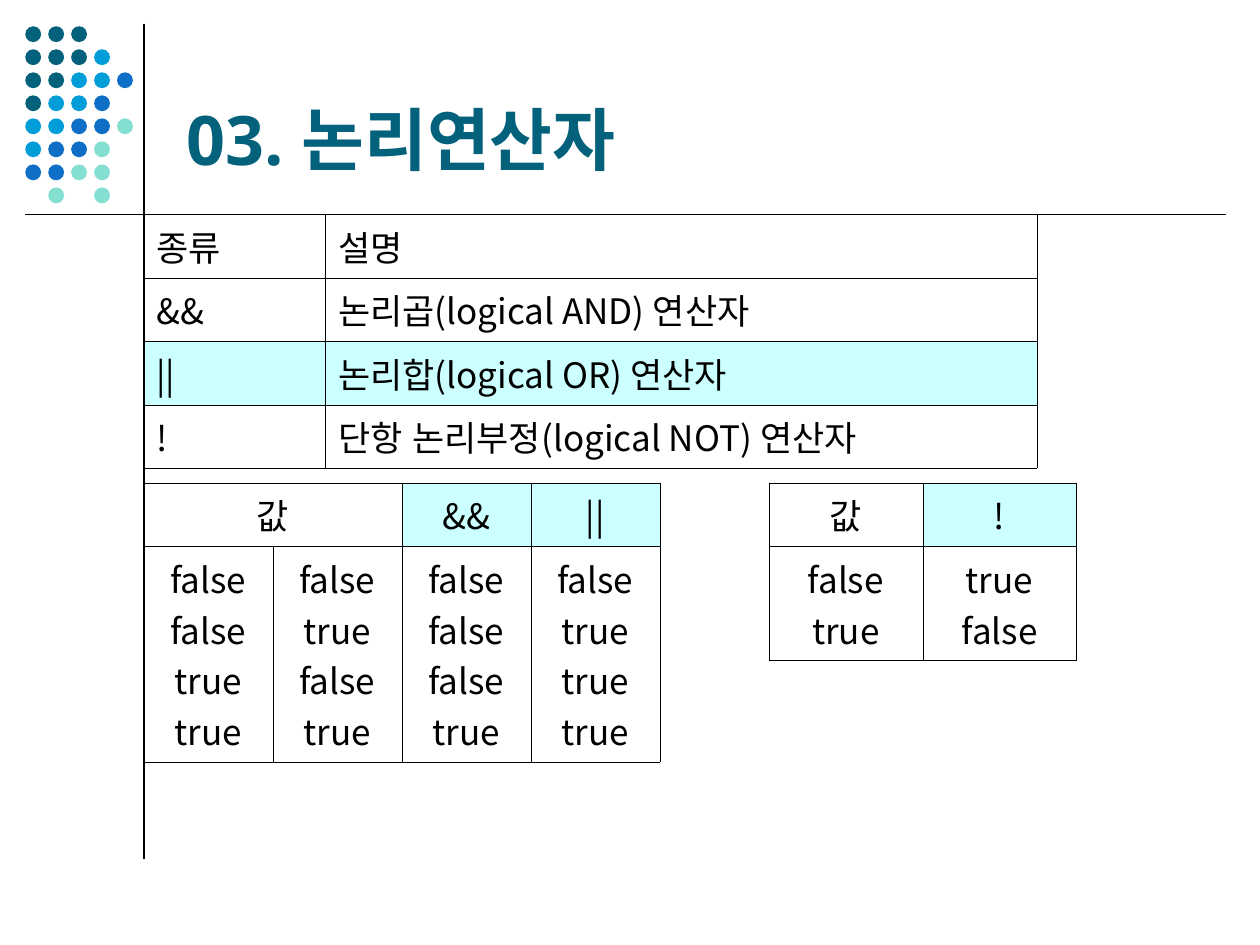
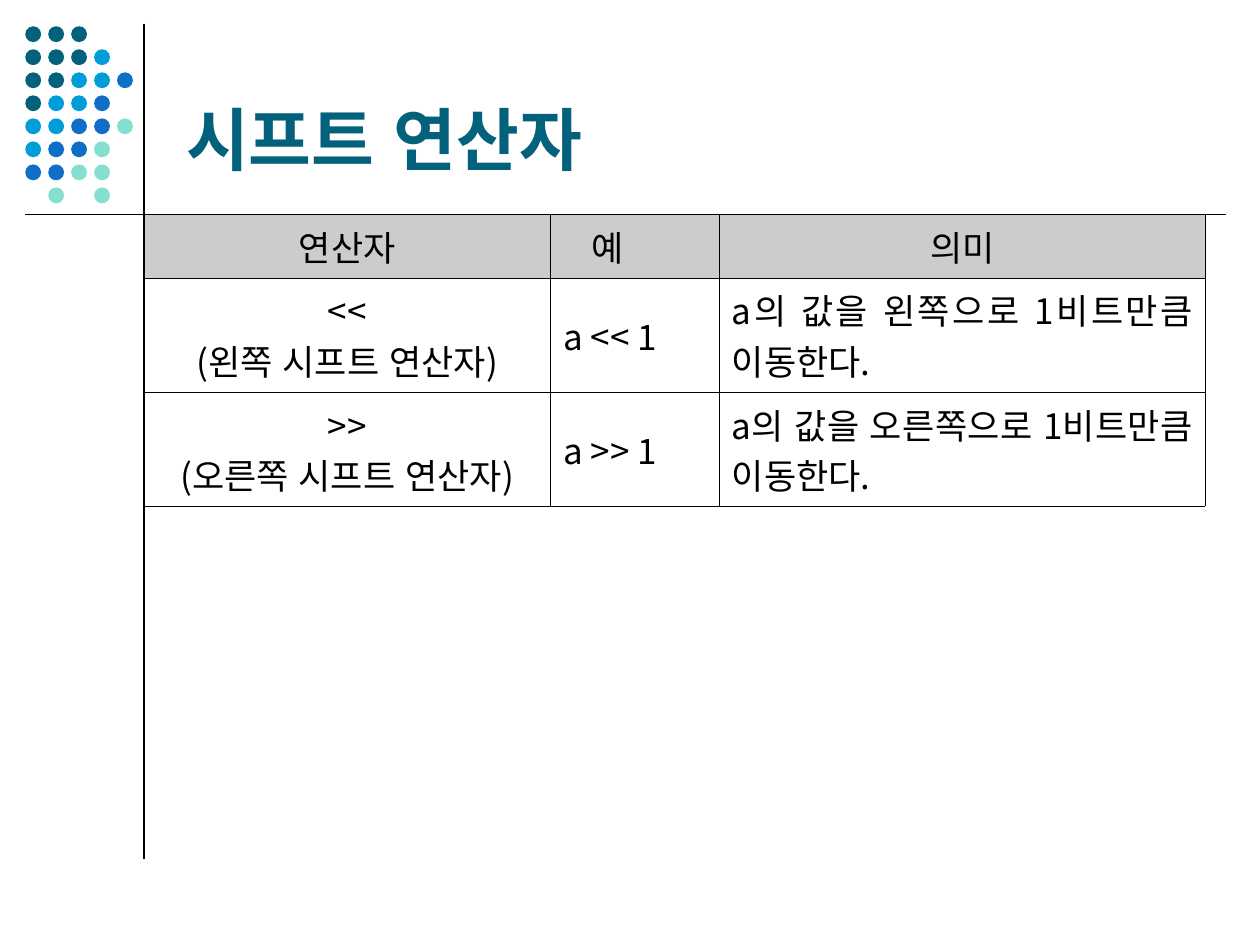
from lxml import etree
from pptx import Presentation
from pptx.dml.color import RGBColor
from pptx.enum import lang, shapes, text
from pptx.oxml import ns
from pptx.util import Cm, Emu, Pt

COLORS = {
    "ink": "000000", "title": "04617B", "sky": "009DD9", "blue": "0F6FC6",
    "mint": "85DFD0", "accent": "CCFFFF", "header": "CCCCCC",
}
DOT_COLORS = {"t": "title", "s": "sky", "b": "blue", "m": "mint"}
DOT_ROWS = ["ttt", "ttts", "ttssb", "tssb", "ssbbm", "sbbm", "bbmm", " m m"]
TITLE_FONT, BODY_FONT = "Noto Sans", "Noto Sans CJK KR"
LEFT, CENTER, JUSTIFY = (
    text.PP_ALIGN.LEFT, text.PP_ALIGN.CENTER, text.PP_ALIGN.JUSTIFY)
AXIS_X, AXIS_Y = 2.9, 4.32
HEAD_H, TWO_LINES, FOUR_LINES = 1.28, 2.3, 4.35


def rgb(name):
    """Return the named colour."""
    return RGBColor.from_string(COLORS[name])


def style_paragraph(p, font, size, color, bold=False, align=LEFT):
    """Align a paragraph and format its runs for Latin and Korean."""
    p.alignment = align
    for r in p.runs:
        f = r.font
        f.name, f.size, f.bold = font, Pt(size), bold
        f.color.rgb = rgb(color)
        f.language_id = lang.MSO_LANGUAGE_ID.KOREAN
        ea = etree.SubElement(r._r.get_or_add_rPr(), ns.qn("a:ea"))
        ea.set("typeface", BODY_FONT)


def add_line(slide, x1, y1, x2, y2):
    """Draw a thin line without a shadow."""
    line = slide.shapes.add_connector(
        shapes.MSO_CONNECTOR.STRAIGHT, Cm(x1), Cm(y1), Cm(x2), Cm(y2))
    line.line.color.rgb = rgb("ink")
    line.line.width = Pt(0.75)
    etree.SubElement(line._element.spPr, ns.qn("a:effectLst"))


def add_dots(slide, box):
    """Fill the box with the stepped dot pattern."""
    x, y, w, h = box
    size = 0.32
    step_x = (w - size) / (max(map(len, DOT_ROWS)) - 1)
    step_y = (h - size) / (len(DOT_ROWS) - 1)
    for i, row in enumerate(DOT_ROWS):
        for j, code in enumerate(row):
            if code == " ":
                continue
            sp = slide.shapes.add_shape(
                shapes.MSO_SHAPE.OVAL, Cm(x + j * step_x),
                Cm(y + i * step_y), Cm(size), Cm(size))
            sp.shadow.inherit = False
            sp.fill.solid()
            sp.fill.fore_color.rgb = rgb(DOT_COLORS[code])
            sp.line.fill.background()


def add_title(slide, title, box):
    """Place and format the title placeholder in the box."""
    sp = slide.shapes.title
    sp.left, sp.top, sp.width, sp.height = map(Cm, box)
    tf = sp.text_frame
    tf.text = title
    tf.word_wrap = True
    tf.auto_size = text.MSO_AUTO_SIZE.NONE
    tf.vertical_anchor = text.MSO_ANCHOR.BOTTOM
    style_paragraph(tf.paragraphs[0], TITLE_FONT, 39, "title", bold=True)


def add_slide(prs, title):
    """Add a slide with the shared title, dots and axis lines."""
    slide = prs.slides.add_slide(prs.slide_layouts[5])
    add_line(slide, AXIS_X, 0.48, AXIS_X, 17.32)
    add_dots(slide, (0.51, 0.53, 2.17, 3.57))
    add_line(slide, 0.51, AXIS_Y, 24.71, AXIS_Y)
    add_title(slide, title, (3.5, 0.53, 20.96, 3.2))
    return slide


def add_borders(cell):
    """Give a cell hairline borders on all four sides."""
    tc_pr = cell._tc.get_or_add_tcPr()
    for side in ("lnL", "lnR", "lnT", "lnB"):
        ln = etree.SubElement(tc_pr, ns.qn(f"a:{side}"), w=str(Pt(0.06)))
        fill = etree.SubElement(ln, ns.qn("a:solidFill"))
        etree.SubElement(fill, ns.qn("a:srgbClr"), val=COLORS["ink"])


def fill_cell(cell, words, align, fill):
    """Write a cell's lines and set its borders and fill."""
    tf = cell.text_frame
    tf.text = words
    for p in tf.paragraphs:
        style_paragraph(p, BODY_FONT, 20, "ink", align=align)
    cell.vertical_anchor = text.MSO_ANCHOR.MIDDLE
    add_borders(cell)
    if fill:
        cell.fill.solid()
        cell.fill.fore_color.rgb = rgb(fill)
    else:
        cell.fill.background()


def add_grid(slide, origin, widths, heights, rows, aligns, fills):
    """Add a table at the origin; fills maps (row, column) to a colour."""
    frame = slide.shapes.add_table(
        len(heights), len(widths), *map(Cm, origin),
        Cm(sum(widths)), Cm(sum(heights)))
    table = frame.table
    table.first_row = table.horz_banding = False
    for col, w in zip(table.columns, widths):
        col.width = Cm(w)
    for row, h in zip(table.rows, heights):
        row.height = Cm(h)
    for i, row in enumerate(rows):
        for j, words in enumerate(row):
            fill_cell(table.cell(i, j), words, aligns[j], fills.get((i, j)))
    return table


def build_logical(prs):
    """Build the logical operators slide with its truth tables."""
    slide = add_slide(prs, "03. 논리연산자")
    kinds = [
        ("종류", "설명"),
        ("&&", "논리곱(logical AND) 연산자"),
        ("||", "논리합(logical OR) 연산자"),
        ("!", "단항 논리부정(logical NOT) 연산자"),
    ]
    add_grid(slide, (AXIS_X, AXIS_Y), [3.66, 14.35], [HEAD_H] * 4, kinds,
             [LEFT] * 2, {(2, 0): "accent", (2, 1): "accent"})

    truth_y = 9.73
    binary = [
        ("값", "", "&&", "||"),
        ("false\nfalse\ntrue\ntrue", "false\ntrue\nfalse\ntrue",
         "false\nfalse\nfalse\ntrue", "false\ntrue\ntrue\ntrue"),
    ]
    table = add_grid(slide, (AXIS_X, truth_y), [2.6] * 4,
                     [HEAD_H, FOUR_LINES], binary, [CENTER] * 4,
                     {(0, 2): "accent", (0, 3): "accent"})
    table.cell(0, 0).merge(table.cell(0, 1))

    unary = [("값", "!"), ("false\ntrue", "true\nfalse")]
    add_grid(slide, (15.5, truth_y), [3.1] * 2, [HEAD_H, TWO_LINES], unary,
             [CENTER] * 2, {(0, 1): "accent"})


def build_shift(prs):
    """Build the shift operators slide."""
    slide = add_slide(prs, "시프트 연산자")
    rows = [
        ("연산자", "예", "의미"),
        ("<<\n(왼쪽 시프트 연산자)", "a << 1",
         "a의 값을 왼쪽으로 1비트만큼 이동한다."),
        (">>\n(오른쪽 시프트 연산자)", "a >> 1",
         "a의 값을 오른쪽으로 1비트만큼 이동한다."),
    ]
    table = add_grid(slide, (AXIS_X, AXIS_Y), [8.2, 3.4, 9.8],
                     [HEAD_H, TWO_LINES, TWO_LINES], rows,
                     [CENTER, JUSTIFY, JUSTIFY],
                     {(0, j): "header" for j in range(3)})
    table.cell(0, 1).margin_left = Cm(0.83)
    table.cell(0, 2).text_frame.paragraphs[0].alignment = CENTER


def main():
    """Build and save the presentation."""
    prs = Presentation()
    prs.slide_width, prs.slide_height = Cm(25.4), Cm(19.05)
    build_logical(prs)
    build_shift(prs)
    prs.save("out.pptx")


if __name__ == "__main__":
    main()
